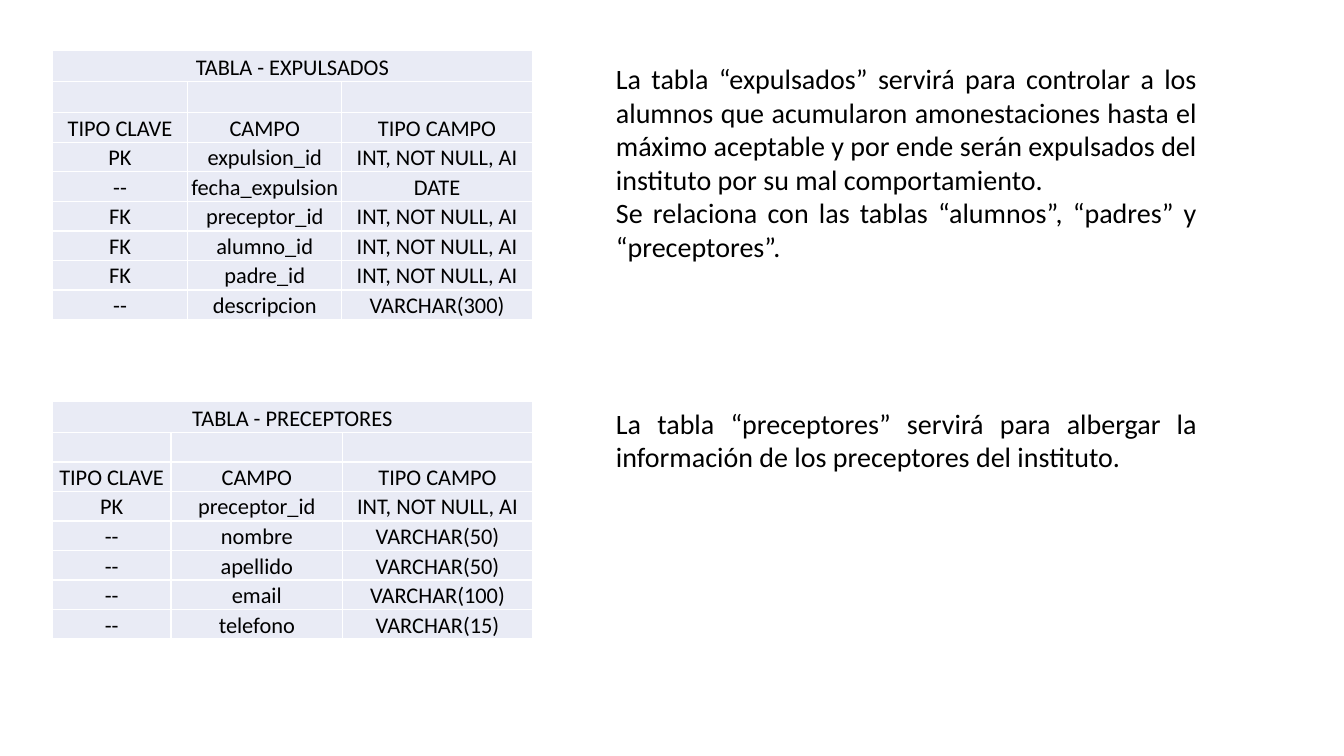
from dataclasses import dataclass

from lxml import etree
from pptx import Presentation
from pptx.dml.color import RGBColor
from pptx.enum.text import MSO_ANCHOR, MSO_AUTO_SIZE, PP_ALIGN
from pptx.oxml.ns import qn
from pptx.util import Inches, Pt

CENTER, JUSTIFY = PP_ALIGN.CENTER, PP_ALIGN.JUSTIFY
BOTTOM = MSO_ANCHOR.BOTTOM
GROW = MSO_AUTO_SIZE.SHAPE_TO_FIT_TEXT
SLIDE_W, SLIDE_H = Inches(13.33), Inches(7.5)
BLANK_LAYOUT = 6


@dataclass(frozen=True)
class Theme:
    font: str = "Calibri"
    text: RGBColor = RGBColor(0x00, 0x00, 0x00)
    cell: RGBColor = RGBColor(0xE9, 0xEB, 0xF5)
    border: str = "FFFFFF"
    border_width: Pt = Pt(1)
    table_size: Pt = Pt(16)
    note_size: Pt = Pt(20)


THEME = Theme()


@dataclass(frozen=True)
class Box:
    """Position and size in percent of the slide."""
    left: float
    top: float
    width: float
    height: float

    def emu(self) -> tuple[int, int, int, int]:
        return (pct(self.left, SLIDE_W), pct(self.top, SLIDE_H),
                pct(self.width, SLIDE_W), pct(self.height, SLIDE_H))


@dataclass(frozen=True)
class SchemaTable:
    box: Box
    title: str
    columns: tuple[float, ...]  # percent of the table width
    tall_rows: int
    fields: tuple[tuple[str, str, str], ...]


@dataclass(frozen=True)
class Note:
    box: Box
    paragraphs: tuple[str, ...]


TALL_ROW, ROW = 4.13, 3.91  # percent of the slide height
HEADER = ("TIPO CLAVE", "CAMPO", "TIPO CAMPO")
ID_TYPE = "INT, NOT NULL, AI"

TABLES = (
    SchemaTable(Box(3.9, 6.67, 35.71, 35.33), "TABLA - EXPULSADOS",
                (28.2, 32.1, 39.7), 2, (
                    ("PK", "expulsion_id", ID_TYPE),
                    ("--", "fecha_expulsion", "DATE"),
                    ("FK", "preceptor_id", ID_TYPE),
                    ("FK", "alumno_id", ID_TYPE),
                    ("FK", "padre_id", ID_TYPE),
                    ("--", "descripcion", "VARCHAR(300)"))),
    SchemaTable(Box(3.9, 53.07, 35.71, 31.33), "TABLA - PRECEPTORES",
                (24.7, 35.8, 39.5), 1, (
                    ("PK", "preceptor_id", ID_TYPE),
                    ("--", "nombre", "VARCHAR(50)"),
                    ("--", "apellido", "VARCHAR(50)"),
                    ("--", "email", "VARCHAR(100)"),
                    ("--", "telefono", "VARCHAR(15)"))),
)

NOTES = (
    Note(Box(45.09, 7.47, 44.71, 28.27), (
        "La tabla “expulsados” servirá para controlar a los alumnos que "
        "acumularon amonestaciones hasta el máximo aceptable y por ende serán "
        "expulsados del instituto por su mal comportamiento.",
        "Se relaciona con las tablas “alumnos”, “padres” y “preceptores”.")),
    Note(Box(45.09, 53.07, 44.71, 10.27), (
        "La tabla “preceptores” servirá para albergar la información de los "
        "preceptores del instituto.",)),
)


def pct(share: float, whole: int) -> int:
    return round(whole * share / 100)


def format_paragraph(p, size: Pt, align: PP_ALIGN) -> None:
    p.alignment = align
    p.font.name = THEME.font
    p.font.size = size
    p.font.color.rgb = THEME.text


def add_borders(cell) -> None:
    props = cell._tc.get_or_add_tcPr()
    for side in ("lnL", "lnR", "lnT", "lnB"):
        ln = etree.SubElement(props, qn(f"a:{side}"), w=str(THEME.border_width))
        fill = etree.SubElement(ln, qn("a:solidFill"))
        etree.SubElement(fill, qn("a:srgbClr"), val=THEME.border)


def format_cell(cell, text: str) -> None:
    add_borders(cell)
    cell.fill.solid()
    cell.fill.fore_color.rgb = THEME.cell
    cell.vertical_anchor = BOTTOM
    cell.margin_left = cell.margin_right = cell.margin_top = Inches(0.01)
    cell.margin_bottom = 0
    p = cell.text_frame.paragraphs[0]
    if text:
        p.text = text
    format_paragraph(p, THEME.table_size, CENTER)


def draw_table(slide, schema: SchemaTable) -> None:
    blank = ("",) * len(HEADER)
    rows = ((schema.title, "", ""), blank, HEADER, *schema.fields)
    box = schema.box.emu()
    table = slide.shapes.add_table(len(rows), len(HEADER), *box).table
    table.first_row = table.horz_banding = False
    for column, share in zip(table.columns, schema.columns):
        column.width = pct(share, box[2])
    for i, values in enumerate(rows):
        height = TALL_ROW if i < schema.tall_rows else ROW
        table.rows[i].height = pct(height, SLIDE_H)
        for j, value in enumerate(values):
            format_cell(table.cell(i, j), value)
    table.cell(0, 0).merge(table.cell(0, len(HEADER) - 1))


def draw_note(slide, note: Note) -> None:
    tf = slide.shapes.add_textbox(*note.box.emu()).text_frame
    tf.word_wrap = True
    tf.auto_size = GROW
    for i, text in enumerate(note.paragraphs):
        p = tf.add_paragraph() if i else tf.paragraphs[0]
        p.text = text
        format_paragraph(p, THEME.note_size, JUSTIFY)


def main() -> None:
    prs = Presentation()
    prs.slide_width, prs.slide_height = SLIDE_W, SLIDE_H
    slide = prs.slides.add_slide(prs.slide_layouts[BLANK_LAYOUT])

    # Table definitions on the left
    for schema in TABLES:
        draw_table(slide, schema)

    # Explanations on the right
    for note in NOTES:
        draw_note(slide, note)

    prs.save("out.pptx")


if __name__ == "__main__":
    main()
